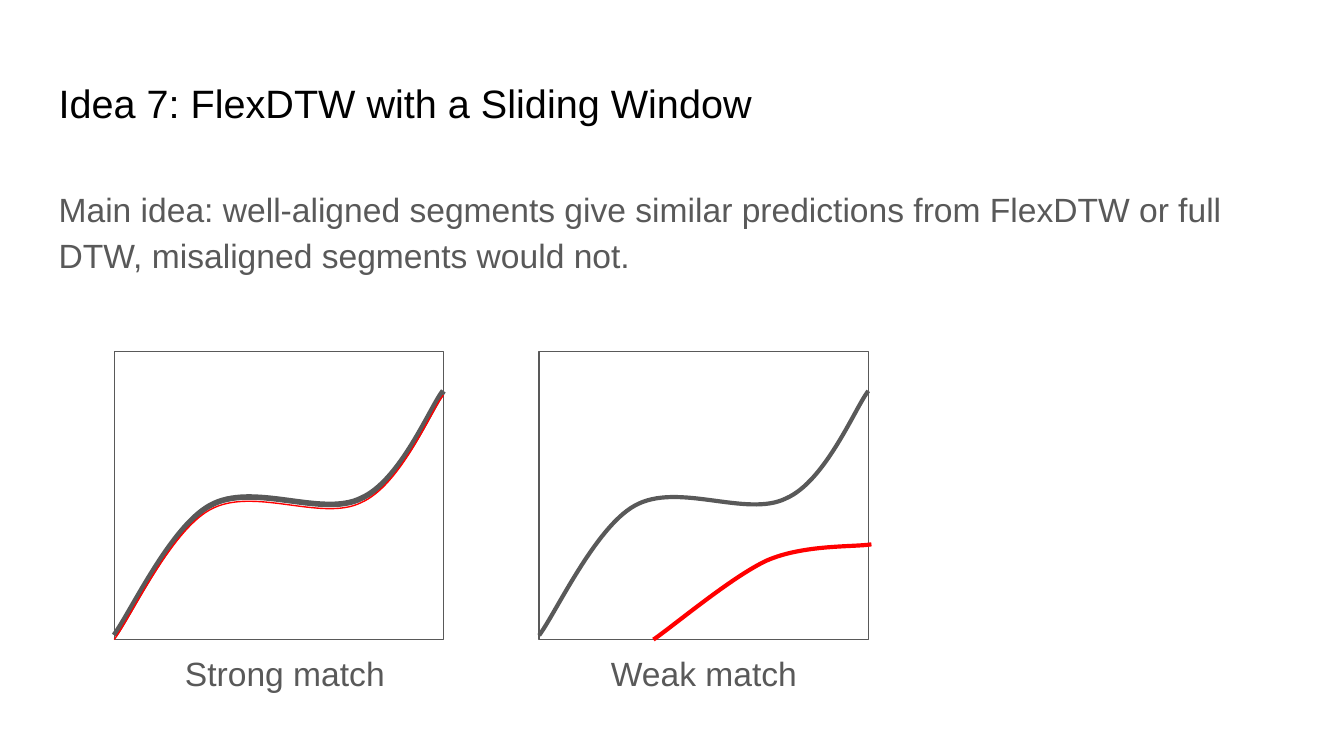
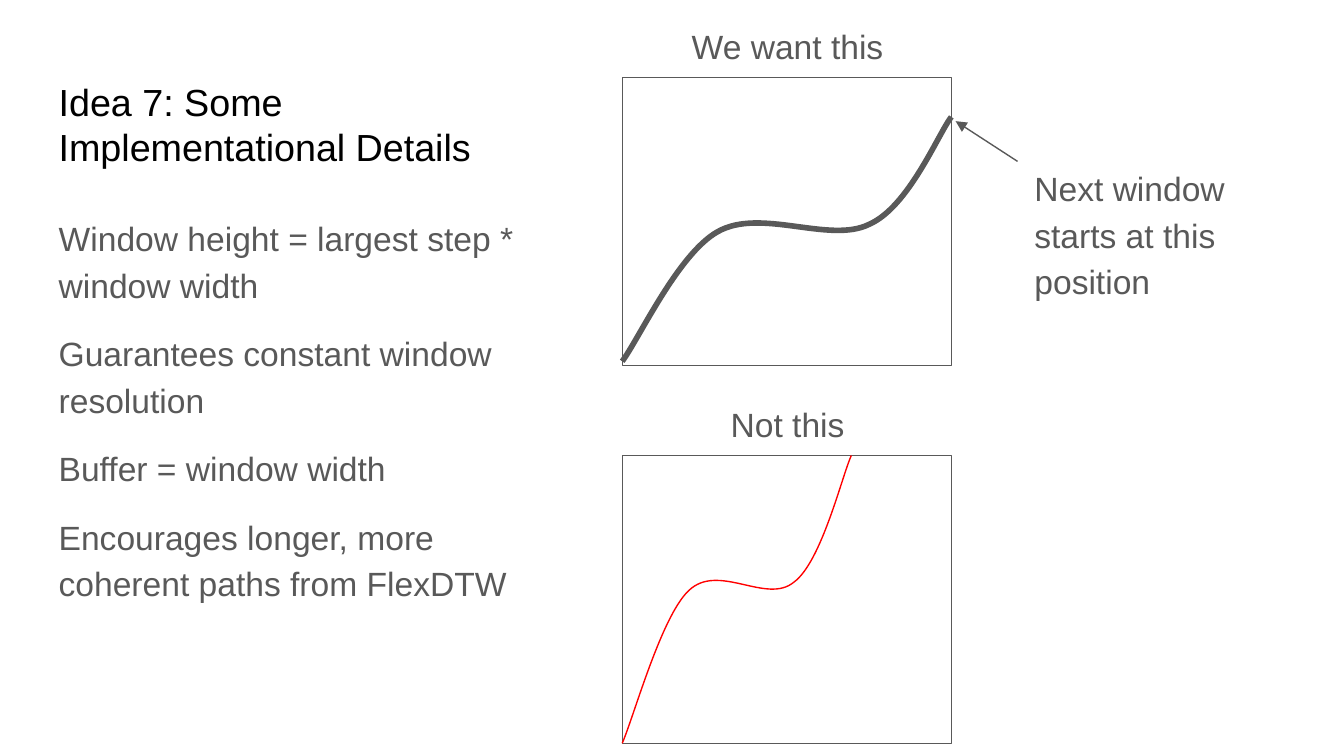
from lxml import etree
from pptx import Presentation
from pptx import util as u
from pptx.dml.color import RGBColor
from pptx.enum import shapes, text
from pptx.oxml.ns import qn

BLACK, GREY, RED = "000000", "595959", "FF0000"
FONT = "Arial"
MARGIN, TITLE_TOP, TITLE_HEIGHT = 0.86, 1.24, 1.6
PANEL_WIDTH, PANEL_HEIGHT = 6.22, 5.44
CAPTION_WIDTH, CAPTION_HEIGHT = 6.45, 1.22

# Bezier points after the start, as shares of the curve's width and height
WAVE = [(0.05, 0.09), (0.17, 0.44), (0.29, 0.53), (0.42, 0.63), (0.63, 0.48),
        (0.75, 0.56), (0.87, 0.63), (0.96, 0.93), (1, 1)]
RISE = [(0.09, 0.14), (0.36, 0.66), (0.52, 0.83),
        (0.69, 1), (0.92, 0.97), (1, 1)]

# Curve: points, shift right and up from the panel's lower left corner,
# width, height, colour, line width
RAISED = (WAVE, 0, 0.08, PANEL_WIDTH, 4.62, GREY)
LOW = (WAVE, 0, 0, PANEL_WIDTH, 4.62, RED, 0.75)
LATE = (RISE, 2.16, 0, 4.12, 1.8, RED, 2.25)
STEEP = (WAVE, 0, 0, 4.33, PANEL_HEIGHT, RED, 0.75)

# Bodies: left, top, width, height, paragraphs
# Panels: left, top, caption, caption left, caption below, curves
SLIDES = [
    {
        "title": ("Idea 7: FlexDTW with a Sliding Window", 23.67, 21.2),
        "bodies": [(MARGIN, 3.2, 23.67, 2.34, [
            "Main idea: well-aligned segments give similar predictions from "
            "FlexDTW or full DTW, misaligned segments would not."])],
        "panels": [
            (2.16, 6.65, "Strong match", 2.16, True, [(*RAISED, 3), LOW]),
            (10.19, 6.65, "Weak match", 10.08, True, [(*RAISED, 2.25), LATE]),
        ],
        "arrows": [],
    },
    {
        "title": ("Idea 7: Some Implementational Details", 8.81, 20.2),
        "bodies": [
            (MARGIN, 3.76, 10.03, 8.79, [
                "Window height = largest step * window width",
                "Guarantees constant window resolution",
                "Buffer = window width",
                "Encourages longer, more coherent paths from FlexDTW"]),
            (19.3, 2.82, 5.74, 5.44, ["Next window starts at this position"]),
        ],
        "panels": [
            (11.76, 1.47, "We want this", 11.66, False, [(*RAISED, 3)]),
            (11.76, 8.61, "Not this", 11.66, False, [STEEP]),
        ],
        "arrows": [(19.23, 3.05, 18.06, 2.29)],
    },
]


def colour(code):
    return RGBColor.from_string(code)


def set_line(shape, code, width):
    shape.line.color.rgb = colour(code)
    shape.line.width = u.Pt(width)


def add_text(page, left, top, width, height, paragraphs, size=18,
             code=GREY, align=text.PP_ALIGN.LEFT):
    frame = page.shapes.add_textbox(
        u.Cm(left), u.Cm(top), u.Cm(width), u.Cm(height)).text_frame
    frame.word_wrap = True
    frame.margin_left = frame.margin_right = u.Cm(0.25)
    frame.margin_top = frame.margin_bottom = u.Cm(0.25)
    frame.text = "\n".join(paragraphs)
    for para in frame.paragraphs:
        para.alignment = align
        para.font.name = FONT
        para.font.size = u.Pt(size)
        para.font.color.rgb = colour(code)
    return frame


def add_body(page, left, top, width, height, paragraphs):
    paras = add_text(page, left, top, width, height, paragraphs).paragraphs
    for para in paras:
        para.line_spacing = 1.15
    for para in paras[1:]:
        para.space_before = u.Pt(12)
    paras[-1].space_after = u.Pt(12)


def add_curve(page, left, bottom, points, width, height, code, weight):
    """Draw a freeform, then turn each three line steps into one Bezier."""
    builder = page.shapes.build_freeform(u.Cm(left), u.Cm(bottom))
    builder.add_line_segments(
        [(u.Cm(left + x * width), u.Cm(bottom - y * height))
         for x, y in points], close=False)
    curve = builder.convert_to_shape()
    curve.shadow.inherit = False
    curve.fill.background()
    set_line(curve, code, weight)
    steps = list(curve.element.iter(qn("a:lnTo")))
    for first in range(0, len(steps), 3):
        bezier = etree.Element(qn("a:cubicBezTo"))
        steps[first].addprevious(bezier)
        for step in steps[first:first + 3]:
            bezier.append(step[0])
            step.getparent().remove(step)


def add_panel(page, left, top, caption, caption_left, below, curves):
    panel = page.shapes.add_shape(
        shapes.MSO_SHAPE.RECTANGLE, u.Cm(left), u.Cm(top),
        u.Cm(PANEL_WIDTH), u.Cm(PANEL_HEIGHT))
    panel.shadow.inherit = False
    panel.fill.background()
    set_line(panel, GREY, 0.75)
    bottom = top + PANEL_HEIGHT
    for points, right, up, width, height, code, weight in curves:
        add_curve(page, left + right, bottom - up, points,
                  width, height, code, weight)
    add_text(page, caption_left, bottom if below else top - CAPTION_HEIGHT,
             CAPTION_WIDTH, CAPTION_HEIGHT, [caption],
             align=text.PP_ALIGN.CENTER)


def add_arrow(page, *ends):
    arrow = page.shapes.add_connector(
        shapes.MSO_CONNECTOR.STRAIGHT, *map(u.Cm, ends))
    set_line(arrow, GREY, 0.75)
    etree.SubElement(arrow.line._get_or_add_ln(), qn("a:tailEnd"),
                     type="triangle")
    etree.SubElement(arrow.element.spPr, qn("a:effectLst"))


def main():
    deck = Presentation()
    deck.slide_width, deck.slide_height = u.Cm(25.4), u.Cm(14.29)
    for content in SLIDES:
        page = deck.slides.add_slide(deck.slide_layouts[6])
        title, width, size = content["title"]
        add_text(page, MARGIN, TITLE_TOP, width, TITLE_HEIGHT, [title],
                 size, BLACK)
        for body in content["bodies"]:
            add_body(page, *body)
        for panel in content["panels"]:
            add_panel(page, *panel)
        for arrow in content["arrows"]:
            add_arrow(page, *arrow)
    deck.save("out.pptx")


if __name__ == "__main__":
    main()
